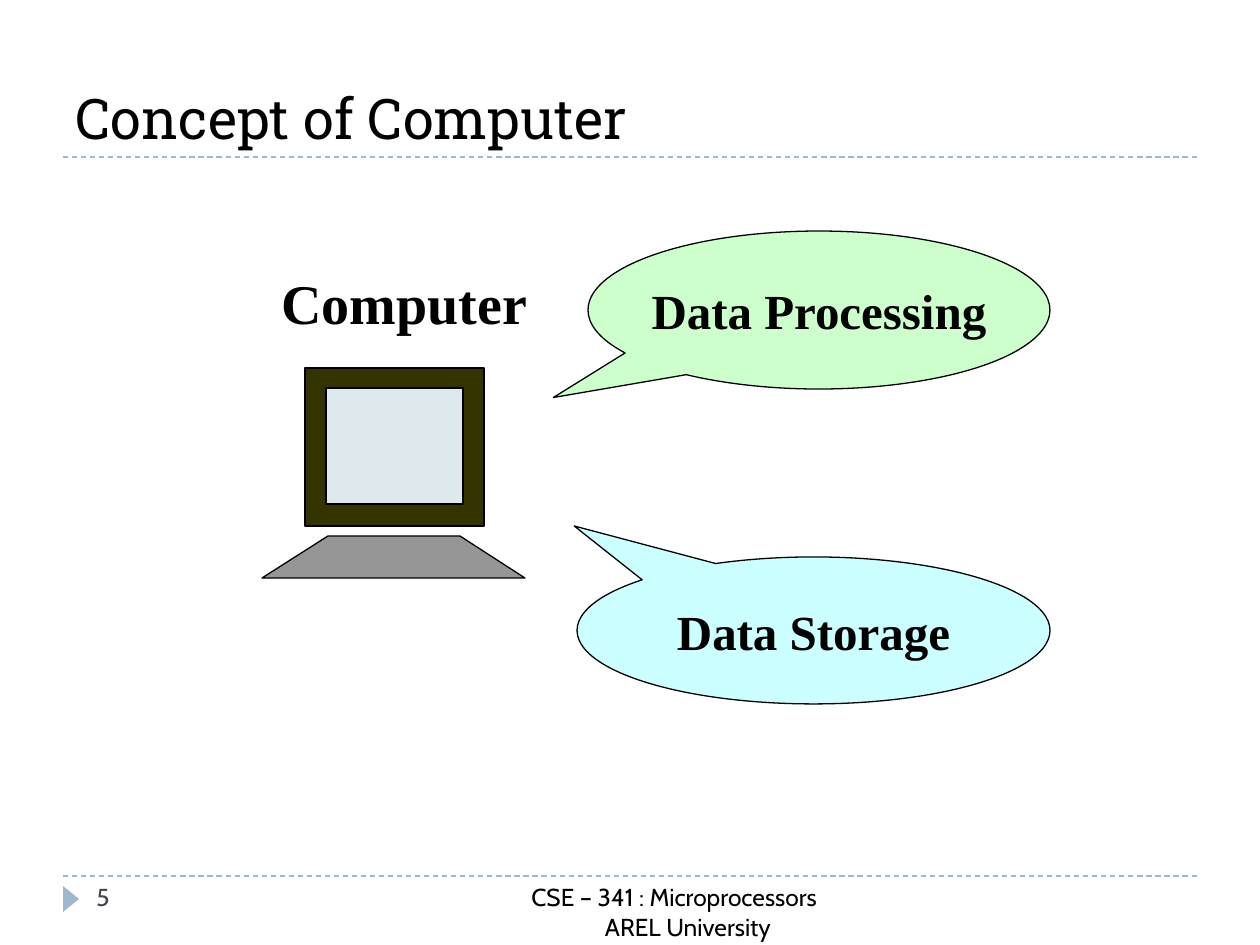
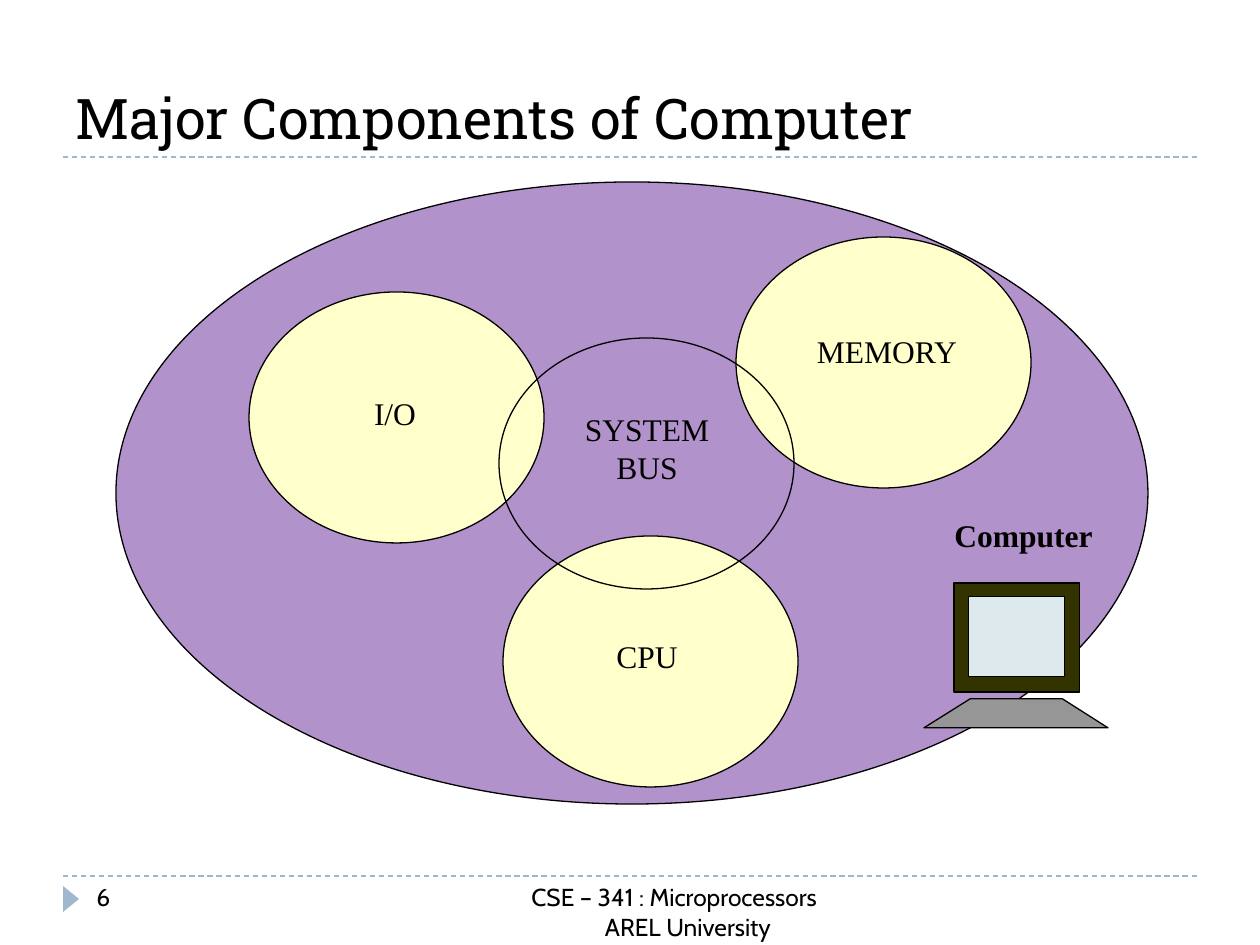
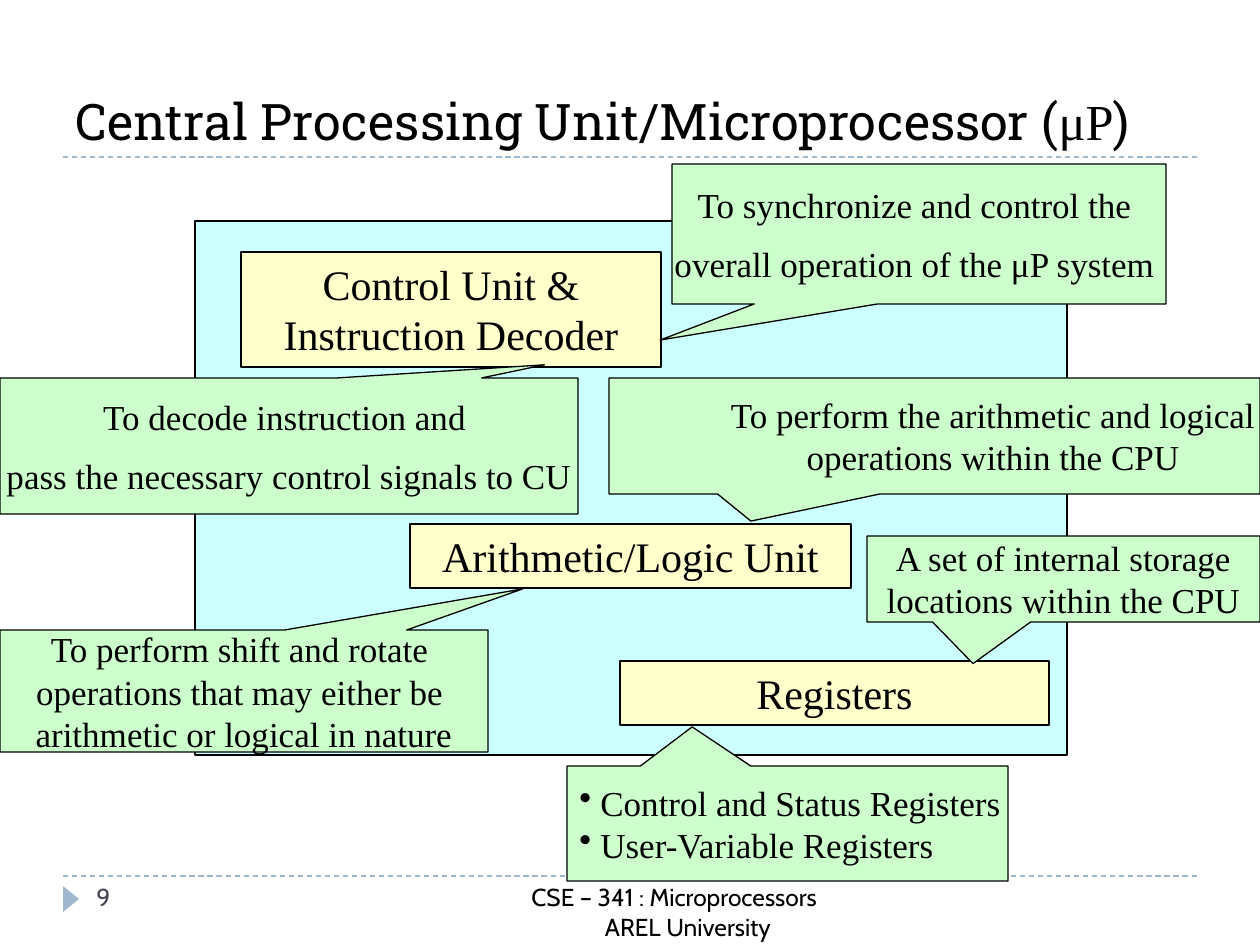
"""Builds three slides on computer concepts and the microprocessor."""
import pptx
import pptx.util
import pptx.dml.color
import pptx.enum.dml
import pptx.enum.shapes
import pptx.enum.text
import pptx.oxml.ns
from lxml import etree

SCALE = 914400 / 126
SHAPE = pptx.enum.shapes.MSO_SHAPE
ALIGN = pptx.enum.text.PP_ALIGN
ANCHOR = pptx.enum.text.MSO_ANCHOR
qn = pptx.oxml.ns.qn

SERIF, SLAB, SANS = "Times New Roman", "Roboto Slab", "Cabin"
BLACK, SLATE, ACCENT = "000000", "464653", "9FB8CD"
GREEN, CYAN, CREAM, PURPLE = "CCFFCC", "CCFFFF", "FFFFCC", "B292CA"
FRAME, SCREEN, KEYS = "333300", "DDE9EC", "969696"

FOOTER = ["CSE – 341 : Microprocessors ", "AREL University"]
RULES = [157, 876]

BUBBLES = [
    ("Data Processing", (588, 231, 462, 158), GREEN, (-0.575, 0.554)),
    ("Data Storage", (577, 557, 473, 147), CYAN, (-0.506, -0.711)),
]
OVAL = (295, 251)
COMPONENTS = [
    ("CPU", (503, 536), (548, 631, 198, 50), CREAM),
    ("MEMORY", (736, 237), (774, 326, 226, 50), CREAM),
    ("I/O", (249, 292), (296, 388, 198, 50), CREAM),
    ("SYSTEM BUS", (499, 338), (548, 404, 198, 90), None),
]
UNITS = [
    ("Control Unit & Instruction Decoder", (241, 252, 420, 115)),
    ("Arithmetic/Logic Unit", (410, 524, 441, 64)),
    ("Registers", (620, 661, 429, 64)),
]
NOTES = [
    (["To decode instruction and ", "pass the necessary control signals to CU"],
     (0, 378, 578, 136), (0.442, -0.597), dict(gap=10)),
    (["To synchronize and control the ", "overall operation of the μP system "],
     (672, 164, 494, 140), (-0.524, 0.758), dict(gap=10)),
    (["To perform the arithmetic and logical ", "operations within the CPU "],
     (609, 378, 651, 116), (-0.282, 0.734), dict(indent=126)),
    (["To perform shift and rotate ", "operations that may either be ",
      "arithmetic or logical in nature"],
     (0, 630, 488, 122), (0.571, -0.837), {}),
    (["Control and Status Registers", "User-Variable Registers"],
     (567, 766, 441, 115), (-0.216, -0.84),
     dict(align=ALIGN.LEFT, bullet="•", indent=21)),
    (["A set of internal storage", "locations within the CPU"],
     (867, 536, 393, 86), (-0.23, 0.984), {}),
]

prs = pptx.Presentation()


def px(n):
    return pptx.util.Emu(round(n * SCALE))


def rgb(value):
    return pptx.dml.color.RGBColor.from_string(value)


def write(sp, paras, size=18, font=SERIF, color=BLACK, bold=False, align=ALIGN.CENTER,
          anchor=ANCHOR.TOP, wrap=True, gap=0, indent=0, bullet=None):
    tf = sp.text_frame
    tf.word_wrap = wrap
    tf.vertical_anchor = anchor
    tf.auto_size = pptx.enum.text.MSO_AUTO_SIZE.NONE
    for i, para in enumerate(paras):
        p = tf.add_paragraph() if i else tf.paragraphs[0]
        p.alignment = align
        p.space_before = pptx.util.Pt(gap if i else 0)
        pPr = p._p.get_or_add_pPr()
        if indent:
            pPr.set("marL", str(px(indent)))
            pPr.set("indent", str(-px(indent) if bullet else 0))
        if bullet:
            etree.SubElement(pPr, qn("a:buChar")).set("char", bullet)
        for text, face in [(para, font)] if isinstance(para, str) else para:
            r = p.add_run()
            r.text = text
            r.font.name, r.font.size, r.font.bold = face, pptx.util.Pt(size), bold
            r.font.color.rgb = rgb(color)


def paint(sp, fill=None, line=BLACK):
    sp.shadow.inherit = False
    if fill:
        sp.fill.solid()
        sp.fill.fore_color.rgb = rgb(fill)
    else:
        sp.fill.background()
    if line:
        sp.line.color.rgb = rgb(line)
        sp.line.width = pptx.util.Pt(0.75)
    else:
        sp.line.fill.background()
    return sp


def shape(s, kind, box, fill=None, line=BLACK, adj=()):
    sp = s.shapes.add_shape(kind, *map(px, box))
    for i, value in enumerate(adj):
        sp.adjustments[i] = value
    return paint(sp, fill, line)


def label(s, paras, box, **fmt):
    write(s.shapes.add_textbox(*map(px, box)), paras, **fmt)


def computer(s, x, y, kx, ky, size):
    def at(dx, dy, w, h):
        return x + dx * kx, y + dy * ky, w * kx, h * ky

    label(s, ["Computer"], at(-63, -106, 325, 79), size=size, bold=True)
    shape(s, SHAPE.RECTANGLE, at(0, 0, 179, 158), FRAME)
    outline = [(px(x + dx * kx), px(y + dy * ky))
               for dx, dy in [(-43, 210), (23, 168), (155, 168), (220, 210)]]
    fb = s.shapes.build_freeform(*outline[0])
    fb.add_line_segments(outline[1:])
    paint(fb.convert_to_shape(), KEYS)
    shape(s, SHAPE.RECTANGLE, at(21, 20, 137, 116), SCREEN)


def new_slide(title, number, size=32, number_color=SLATE):
    s = prs.slides.add_slide(prs.slide_layouts[5])
    for y in RULES:
        c = s.shapes.add_connector(pptx.enum.shapes.MSO_CONNECTOR.STRAIGHT,
                                   px(63), px(y), px(1197), px(y))
        c.line.color.rgb = rgb(ACCENT)
        c.line.width = pptx.util.Pt(0.75)
        c.line.dash_style = pptx.enum.dml.MSO_LINE.DASH
        etree.SubElement(c._element.spPr, qn("a:effectLst"))
    shape(s, SHAPE.ISOSCELES_TRIANGLE, (58, 891, 26, 16), ACCENT, None).rotation = 90
    sp = s.shapes.title
    sp.left, sp.top, sp.width, sp.height = map(px, (63, 21, 1134, 136))
    write(sp, [title], size=size, font=SLAB, align=ALIGN.LEFT, anchor=ANCHOR.BOTTOM)
    label(s, [number], (84, 876, 273, 50), size=14, font=SANS, color=number_color,
          align=ALIGN.LEFT)
    sp = s.shapes.add_textbox(*map(px, (252, 876, 850, 50)))
    write(sp, FOOTER, size=14, font=SANS)
    sp.text_frame.paragraphs[1]._p.get_or_add_pPr().set("marL", str(px(22)))
    return s


def concept_slide():
    s = new_slide("Concept of Computer", "5")
    computer(s, 305, 368, 1, 1, 32)
    for text, box, fill, adj in BUBBLES:
        sp = shape(s, SHAPE.OVAL_CALLOUT, box, fill, adj=adj)
        write(sp, [text], size=28, bold=True, anchor=ANCHOR.MIDDLE, wrap=False)


def components_slide():
    s = new_slide("Major Components of Computer", "6", number_color=BLACK)
    shape(s, SHAPE.OVAL, (116, 182, 1032, 622), PURPLE)
    computer(s, 954, 583, 0.7, 0.69, 18)
    for text, corner, box, fill in COMPONENTS:
        shape(s, SHAPE.OVAL, corner + OVAL, fill)
        write(shape(s, SHAPE.RECTANGLE, box, fill, None), [text])


def processor_slide():
    title = [("Central Processing Unit/Microprocessor (", SLAB), ("μP", SERIF), (")", SLAB)]
    s = new_slide(title, "9", size=28.8)
    shape(s, SHAPE.RECTANGLE, (195, 221, 872, 534), CYAN)
    for text, box in UNITS:
        write(shape(s, SHAPE.RECTANGLE, box, CREAM), [text], size=24)
    for paras, box, adj, fmt in NOTES:
        sp = shape(s, SHAPE.RECTANGULAR_CALLOUT, box, GREEN, adj=adj)
        write(sp, paras, size=20, anchor=ANCHOR.MIDDLE, wrap=False, **fmt)


prs.slide_width, prs.slide_height = px(1260), px(945)
concept_slide()
components_slide()
processor_slide()
prs.save("out.pptx")
